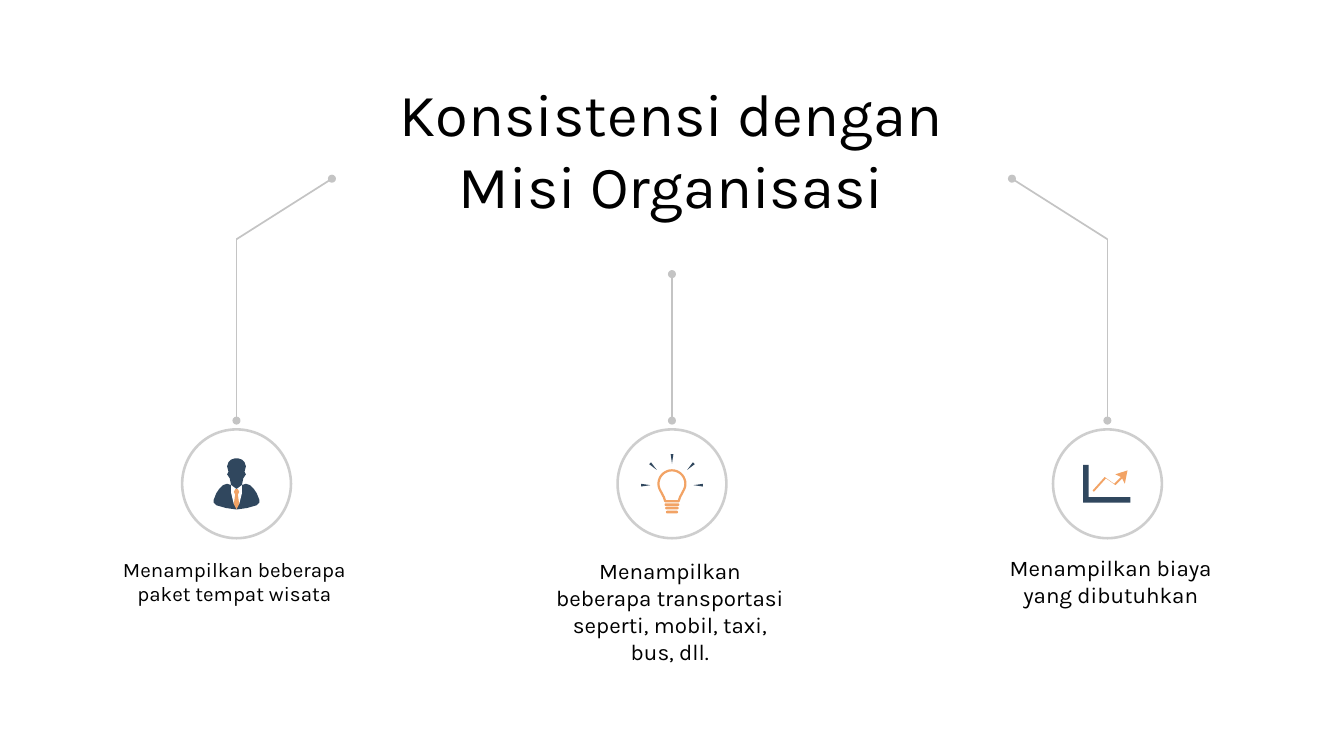
from math import cos, radians, sin

from lxml import etree
from pptx import Presentation
from pptx.dml.color import RGBColor
from pptx.enum.shapes import MSO_CONNECTOR, MSO_SHAPE
from pptx.enum.text import MSO_ANCHOR, MSO_AUTO_SIZE, PP_ALIGN
from pptx.oxml.ns import qn
from pptx.util import Inches, Pt

OVAL, ROUNDED = MSO_SHAPE.OVAL, MSO_SHAPE.ROUNDED_RECTANGLE
STRAIGHT = MSO_CONNECTOR.STRAIGHT
MIDDLE, CENTER = MSO_ANCHOR.MIDDLE, PP_ALIGN.CENTER
NO_AUTOFIT = MSO_AUTO_SIZE.NONE

FONT = "Karla"
COLORS = {"text": "000000", "ring": "CECECE", "line": "C4C4C4",
          "white": "FFFFFF", "navy": "30475E", "orange": "F2A365"}
WIDTH = 10
HEIGHT = WIDTH * 9 / 16
MID, PITCH = WIDTH / 2, 3.24
COLUMNS = [MID + i * PITCH for i in (-1, 0, 1)]
RING_Y, RING_SIZE = 3.6, 0.81
LINE_END_Y, DOT_SIZE = 3.13, 0.06
LABEL_TOP, LABEL_WIDTH = 4.13, 1.93


def color(name):
    return RGBColor.from_string(COLORS[name])


def paint(sp, fill=None, line=None, width=1):
    sp.shadow.inherit = False
    if fill:
        sp.fill.solid()
        sp.fill.fore_color.rgb = color(fill)
    else:
        sp.fill.background()
    if line:
        sp.line.color.rgb = color(line)
        sp.line.width = Pt(width)
    else:
        sp.line.fill.background()


def write(sp, text, size):
    """Centre one paragraph of text in a text box or placeholder."""
    tf = sp.text_frame
    tf.word_wrap = True
    tf.auto_size = NO_AUTOFIT
    tf.vertical_anchor = MIDDLE
    tf.margin_left = tf.margin_right = Inches(0.1)
    tf.margin_top = tf.margin_bottom = Inches(0.1)
    p = tf.paragraphs[0]
    p.alignment = CENTER
    r = p.add_run()
    r.text = text
    r.font.name = FONT
    r.font.size = Pt(size)
    r.font.color.rgb = color("text")


def add_title(s, text):
    sp = s.shapes.title
    sp.left, sp.top = Inches(2.83), Inches(0.45)
    sp.width, sp.height = Inches(4.33), Inches(1.31)
    write(sp, text, 32)


def add_label(s, left, height, text, size):
    sp = s.shapes.add_textbox(Inches(left), Inches(LABEL_TOP),
                              Inches(LABEL_WIDTH), Inches(height))
    write(sp, text, size)


def add_centered(s, kind, x, y, w, h, **style):
    sp = s.shapes.add_shape(kind, Inches(x - w / 2), Inches(y - h / 2),
                            Inches(w), Inches(h))
    paint(sp, **style)
    return sp


def add_branch(s, points):
    """Draw line segments through the points, with a dot at each end."""
    for start, end in zip(points, points[1:]):
        line = s.shapes.add_connector(STRAIGHT, *map(Inches, start + end))
        line.line.color.rgb = color("line")
        line.line.width = Pt(0.9)
        etree.SubElement(line._element.spPr, qn("a:effectLst"))
    for x, y in (points[0], points[-1]):
        add_centered(s, OVAL, x, y, DOT_SIZE, DOT_SIZE, fill="line")


def add_polygon(s, cx, points, **style):
    """Close an outline given in 1/100 inch from the centre of a ring."""
    pts = [(Inches(cx + x / 100), Inches(RING_Y + y / 100)) for x, y in points]
    builder = s.shapes.build_freeform(*pts[0])
    builder.add_line_segments(pts[1:], close=True)
    paint(builder.convert_to_shape(), **style)


def mirrored(half):
    return half + [(-x, y) for x, y in reversed(half)]


def draw_person(s, cx):
    silhouette = [(-1, -19), (-4, -18), (-6, -16), (-7, -13), (-6, -9),
                  (-7, -7), (-5, -4), (-4, 1), (-7, 0), (-10, 1), (-13, 4),
                  (-15, 7), (-17, 12), (-17, 14), (-15, 16), (-8, 18), (-1, 19)]
    shirt = [(0, 4), (-4, 1), (-4, 7), (-2, 15)]
    tie = [(-1, 4), (-2, 6), (-1, 8), (-2, 15), (0, 19)]
    for half, fill in ((silhouette, "navy"), (shirt, "white"), (tie, "orange")):
        add_polygon(s, cx, mirrored(half), fill=fill)


def draw_bulb(s, cx):
    arc = [(10 * cos(radians(a)), 10 * sin(radians(a)))
           for a in range(150, 391, 10)]
    add_polygon(s, cx, [(-5, 13), (-6, 10)] + arc + [(6, 10), (5, 13)],
                line="orange", width=1.2)
    for y, w in ((0.155, 0.11), (0.18, 0.1), (0.21, 0.09)):
        bar = add_centered(s, ROUNDED, cx, RING_Y + y, w, 0.02, fill="orange")
        bar.adjustments[0] = 0.5
    for angle in range(180, 361, 45):
        c, n = cos(radians(angle)), sin(radians(angle))
        ray = [(16, 0), (23, -1), (23, 1)]
        add_polygon(s, cx, [(r * c - t * n, 1 + r * n + t * c) for r, t in ray],
                    fill="navy")


def draw_chart_icon(s, cx):
    arrow = [(15, -10), (6, -7), (10, -5), (5, 0), (-2, -5), (-11, 5),
             (-10, 6), (-1, -4), (6, 1), (11, -4), (13, 0)]
    axes = [(-18, -14), (-14, -14), (-14, 10), (17, 10), (17, 14), (-18, 14)]
    add_polygon(s, cx, arrow, fill="orange")
    add_polygon(s, cx, axes, fill="navy")


def main():
    prs = Presentation()
    prs.slide_width, prs.slide_height = Inches(WIDTH), Inches(HEIGHT)
    s = prs.slides.add_slide(prs.slide_layouts[5])
    add_title(s, "Konsistensi dengan Misi Organisasi")

    left, mid, right = COLUMNS
    items = [
        (left, [(2.47, 1.33), (left, 1.78)], draw_person,
         (0.78, 0.39, "Menampilkan beberapa paket tempat wisata", 11)),
        (mid, [(mid, 2.04)], draw_bulb,
         (4.02, 0.83, "Menampilkan beberapa transportasi seperti, mobil, "
                      "taxi, bus, dll.", 12)),
        (right, [(7.53, 1.33), (right, 1.78)], draw_chart_icon,
         (7.3, 0.39, "Menampilkan biaya yang dibutuhkan", 12)),
    ]
    for cx, branch, draw_icon, label in items:
        add_branch(s, branch + [(cx, LINE_END_Y)])
        add_centered(s, OVAL, cx, RING_Y, RING_SIZE, RING_SIZE,
                     fill="white", line="ring", width=1.4)
        draw_icon(s, cx)
        add_label(s, *label)
    prs.save("out.pptx")


if __name__ == "__main__":
    main()
